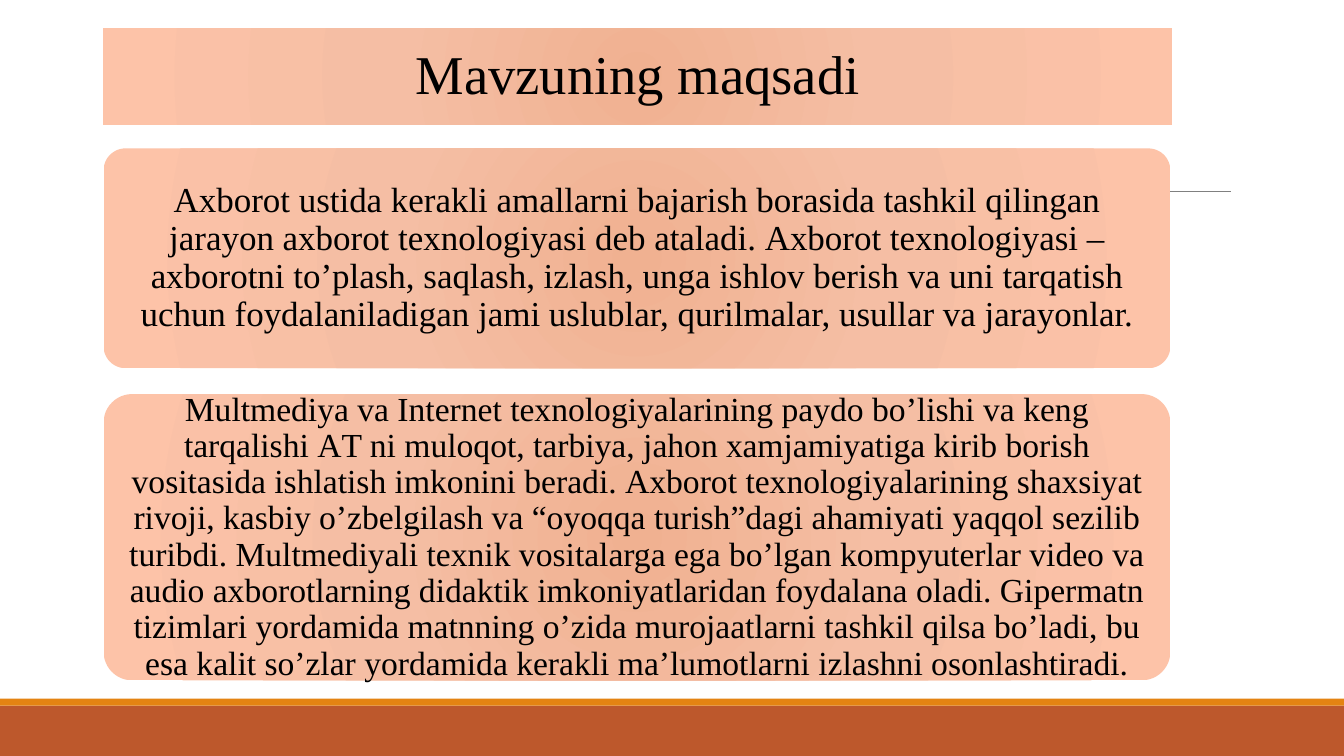
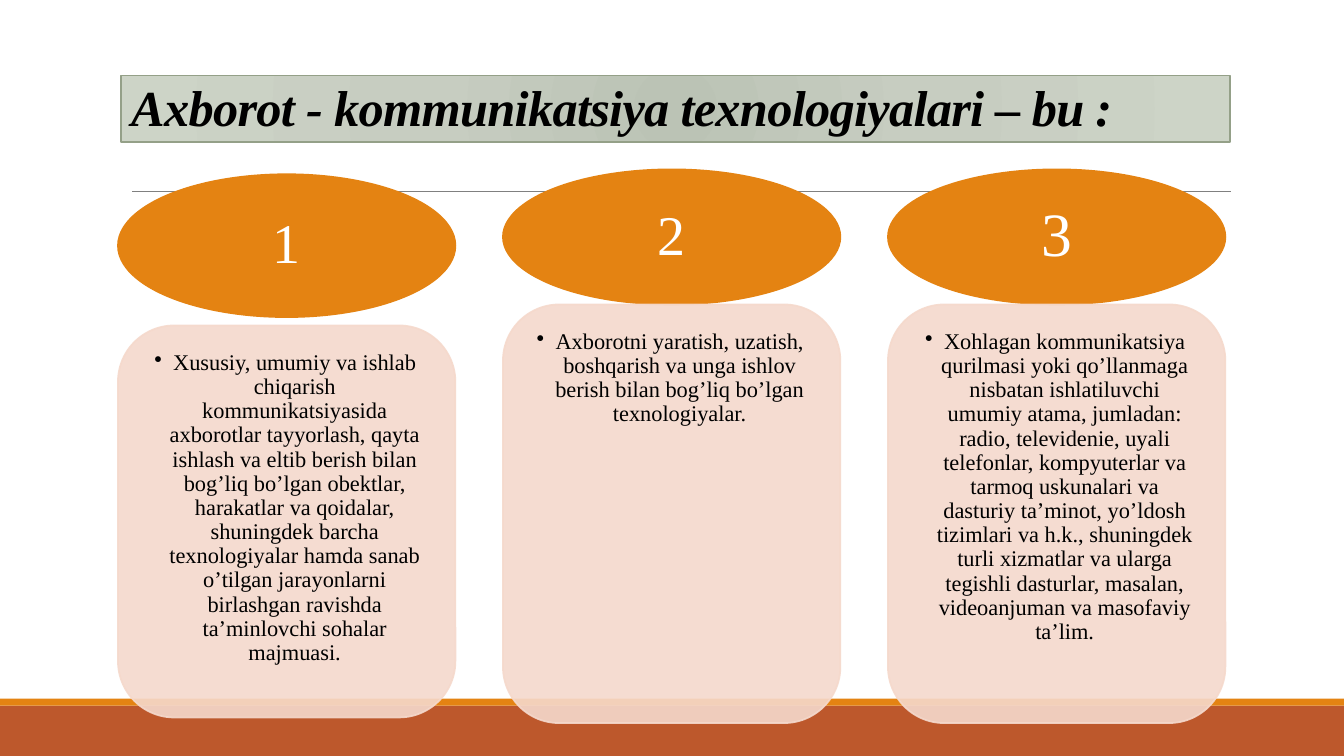
"""Build two slides about information and communication technologies."""
import lxml.etree
import pptx
import pptx.dml.color
import pptx.enum.shapes
import pptx.enum.text
import pptx.oxml
import pptx.oxml.ns
import pptx.util

Pt = pptx.util.Pt
Shapes = pptx.enum.shapes.MSO_SHAPE
Align = pptx.enum.text.PP_ALIGN
Anchor = pptx.enum.text.MSO_ANCHOR
qn = pptx.oxml.ns.qn

WIDTH, HEIGHT = 960, 540
FONT = "Times New Roman"
BLACK, WHITE = "000000", "FFFFFF"
ORANGE, RUST, GREY = "E48312", "BD582C", "808080"
CARD, SAGE = "F5D9CC", "94A088"
PEACH_GRADIENT = ((0, "F0B191"), (45, "F5BEA4"), (100, "FDC3A8"))
SAGE_GRADIENT = ((0, "BBC3B5"), (45, "C7CDC1"), (100, "CDD4C7"))

PANELS = (
    (106, 157, 25, "Ахborot ustidа kerakli аmаllаrni bаjаrish borаsidа tаshkil qilingаn jаrаyon ахborot teхnologiyаsi deb аtаlаdi. Ахborot teхnologiyаsi – ахborotni tо’plаsh, sаqlаsh, izlаsh, ungа ishlov berish vа uni tаrqаtish uchun foydаlаnilаdigаn jаmi uslublаr, qurilmаlаr, usullаr vа jаrаyonlаr."),
    (281.5, 204.5, 24, "Multmediyа vа Internet teхnologiyаlаrining pаydo bо’lishi vа keng tаrqаlishi АT ni muloqot, tаrbiyа, jаhon хаmjаmiyаtigа kirib borish vositаsidа ishlаtish imkonini berаdi. Ахborot teхnologiyаlаrining shахsiyat rivoji, kаsbiy о’zbelgilаsh vа “oyoqqа turish”dаgi аhаmiyаti yaqqol sezilib turibdi. Multmediyаli teхnik vositаlаrgа egа bо’lgаn kоmpyuterlаr video vа аudio ахborotlаrning didаktik imkoniyаtlаridаn foydаlаnа olаdi. Gipermаtn tizimlаri yordаmidа mаtnning о’zidа murojааtlаrni tаshkil qilsа bо’lаdi, bu esа kаlit sо’zlаr yordаmidа kerаkli mа’lumotlаrni izlаshni osonlаshtirаdi."),
)
COLUMNS = (
    ("1", 40, (124.5, 102), (232.5, 280), "Хususiy, umumiy vа ishlаb chiqаrish kommunikаtsiyаsidа ахborotlаr tаyyorlаsh, qаytа ishlаsh vа eltib berish bilаn bog’liq bо’lgаn obektlаr, hаrаkаtlаr vа qoidаlаr, shuningdek bаrchа teхnologiyаlаr hаmdа sаnаb о’tilgаn jаrаyonlаrni birlаshgаn rаvishdа tа’minlovchi sohаlаr mаjmuаsi."),
    ("2", 40, (121, 96.5), (217.5, 299), "Ахborotni yaratish, uzatish, boshqarish va unga ishlov berish bilan bog’liq bо’lgan teхnologiyalar."),
    ("3", 44, (121, 96.5), (217.5, 299), "Хohlagan kommunikatsiya qurilmasi yoki qo’llanmaga nisbatan ishlatiluvchi umumiy atama, jumladan: radio, televidenie, uyali telefonlar, kоmpyuterlar va tarmoq uskunalari va dasturiy ta’minot, yо’ldosh tizimlari va h.k., shuningdek turli хizmatlar va ularga tegishli dasturlar, masalan, videoanjuman va masofaviy ta’lim."),
)


def rgb(code):
    """Return the colour for a hex string."""
    return pptx.dml.color.RGBColor.from_string(code)


def paint(shape, fill, line=None, line_width=1.25, alpha=None):
    """Set a solid fill and an optional outline, both with optional opacity."""
    shape.fill.solid()
    shape.fill.fore_color.rgb = rgb(fill)
    if line:
        shape.line.color.rgb = rgb(line)
        shape.line.width = Pt(line_width)
    else:
        shape.line.fill.background()
    if alpha is not None:
        for colour in shape._element.spPr.iter(qn("a:srgbClr")):
            lxml.etree.SubElement(colour, qn("a:alpha")).set("val", str(alpha * 1000))


def paint_gradient(shape, stops, line=None):
    """Fill a shape with a gradient that spreads from its centre."""
    paint(shape, WHITE, line, 1)
    gradient = lxml.etree.Element(qn("a:gradFill"), rotWithShape="1")
    stop_list = lxml.etree.SubElement(gradient, qn("a:gsLst"))
    for position, code in stops:
        stop = lxml.etree.SubElement(stop_list, qn("a:gs"), pos=str(position * 1000))
        lxml.etree.SubElement(stop, qn("a:srgbClr"), val=code)
    circle = lxml.etree.SubElement(gradient, qn("a:path"))
    circle.set("path", "circle")
    lxml.etree.SubElement(circle, qn("a:fillToRect"), **dict.fromkeys("ltrb", "100000"))
    properties = shape._element.spPr
    properties.replace(properties.find(qn("a:solidFill")), gradient)


def place(shape, left, top, width, height):
    """Move and size a shape."""
    shape.left, shape.top, shape.width, shape.height = map(Pt, (left, top, width, height))


def add_shape(slide, kind, left, top, width, height):
    """Add a preset shape without a shadow."""
    shape = slide.shapes.add_shape(kind, *map(Pt, (left, top, width, height)))
    shape.shadow.inherit = False
    return shape


def write_text(shape, text, size, color=BLACK, align=Align.CENTER, anchor=Anchor.MIDDLE,
               margins=(7.2, 7.2, 7.2, 7.2), line_spacing=0.9, bold=False, italic=False,
               tracking=0, bullet_indent=0):
    """Write one formatted paragraph into a shape."""
    frame = shape.text_frame
    frame.word_wrap = True
    frame.auto_size = pptx.enum.text.MSO_AUTO_SIZE.NONE
    frame.vertical_anchor = anchor
    (frame.margin_left, frame.margin_top,
     frame.margin_right, frame.margin_bottom) = map(Pt, margins)
    paragraph = frame.paragraphs[0]
    if bullet_indent:
        properties = paragraph._p.get_or_add_pPr()
        properties.set("marL", str(Pt(bullet_indent)))
        properties.set("indent", str(-Pt(bullet_indent)))
        lxml.etree.SubElement(properties, qn("a:buChar"), char="•")
    paragraph.alignment = align
    paragraph.line_spacing = line_spacing
    paragraph.space_before = Pt(0)
    run = paragraph.add_run()
    run.text = text
    run.font.name = FONT
    run.font.size = Pt(size)
    run.font.color.rgb = rgb(color)
    run.font.bold, run.font.italic = bold, italic
    if tracking:
        run._r.get_or_add_rPr().set("spc", str(round(tracking * 100)))


def add_title(slide, text, box, geometry, stops, line=None, **text_format):
    """Place, outline, fill and write the title placeholder."""
    title = slide.shapes.title
    place(title, *box)
    outline = lxml.etree.SubElement(title._element.spPr, qn("a:prstGeom"), prst=geometry)
    adjustments = lxml.etree.SubElement(outline, qn("a:avLst"))
    if geometry == "roundRect":
        lxml.etree.SubElement(adjustments, qn("a:gd"), name="adj", fmla="val 10000")
    paint_gradient(title, stops, line)
    write_text(title, text, **text_format)


def decorate_layout(layout, slide):
    """Draw the bands and the hairline once, on the layout of the slides."""
    decorations = []
    for top, height, color in ((504, 36, RUST), (499, 5, ORANGE)):
        band = add_shape(slide, Shapes.RECTANGLE, 0, top, WIDTH, height)
        paint(band, color)
        decorations.append(band)
    hairline = slide.shapes.add_connector(
        pptx.enum.shapes.MSO_CONNECTOR.STRAIGHT, *map(Pt, (94.5, 136.5, 879, 136.5)))
    hairline.line.color.rgb = rgb(GREY)
    hairline.line.width = Pt(0.5)
    lxml.etree.SubElement(hairline._element.spPr, qn("a:effectLst"))
    decorations.append(hairline)
    for number, decoration in enumerate(decorations, start=101):
        decoration._element.xpath(".//p:cNvPr")[0].set("id", str(number))
        layout.shapes._spTree.append(decoration._element)


def add_panel(slide, top, height, size, text):
    """Add a wide rounded panel with centred text."""
    panel = add_shape(slide, Shapes.ROUNDED_RECTANGLE, 74, top, 762, height)
    panel.adjustments[0] = 0.1
    paint_gradient(panel, PEACH_GRADIENT)
    write_text(panel, text, size)


def add_column(slide, left, number, number_size, oval_span, card_span, text):
    """Add a numbered oval above a translucent text card."""
    width = 241
    oval = add_shape(slide, Shapes.OVAL, left, oval_span[0], width, oval_span[1])
    paint(oval, ORANGE, ORANGE)
    write_text(oval, number, number_size, color=WHITE)
    card = add_shape(slide, Shapes.ROUNDED_RECTANGLE, left, card_span[0], width, card_span[1])
    paint(card, CARD, CARD, alpha=90)
    write_text(card, text, 16, anchor=Anchor.TOP, margins=(6.5, 6.5, 8.5, 10),
               bullet_indent=13.5)


def main():
    """Build and save the presentation."""
    presentation = pptx.Presentation()
    presentation.slide_width, presentation.slide_height = Pt(WIDTH), Pt(HEIGHT)
    layout = presentation.slide_layouts[5]

    goal = presentation.slides.add_slide(layout)
    decorate_layout(layout, goal)
    add_title(goal, "Mavzuning maqsadi", (73.5, 20, 764, 69), "roundRect",
              PEACH_GRADIENT, size=39)
    for panel in PANELS:
        add_panel(goal, *panel)

    definition = presentation.slides.add_slide(layout)
    add_title(definition, "Ахborot - kommunikаtsiyа teхnologiyаlаri – bu :",
              (86.5, 54, 792, 47.5), "rect", SAGE_GRADIENT, SAGE, size=36,
              align=Align.LEFT, anchor=Anchor.BOTTOM, margins=(7.2, 3.6, 7.2, 3.6),
              line_spacing=0.85, bold=True, italic=True, tracking=-0.5)
    for index, column in enumerate(COLUMNS):
        add_column(definition, 84.3 + 275 * index, *column)

    presentation.save("out.pptx")


if __name__ == "__main__":
    main()
